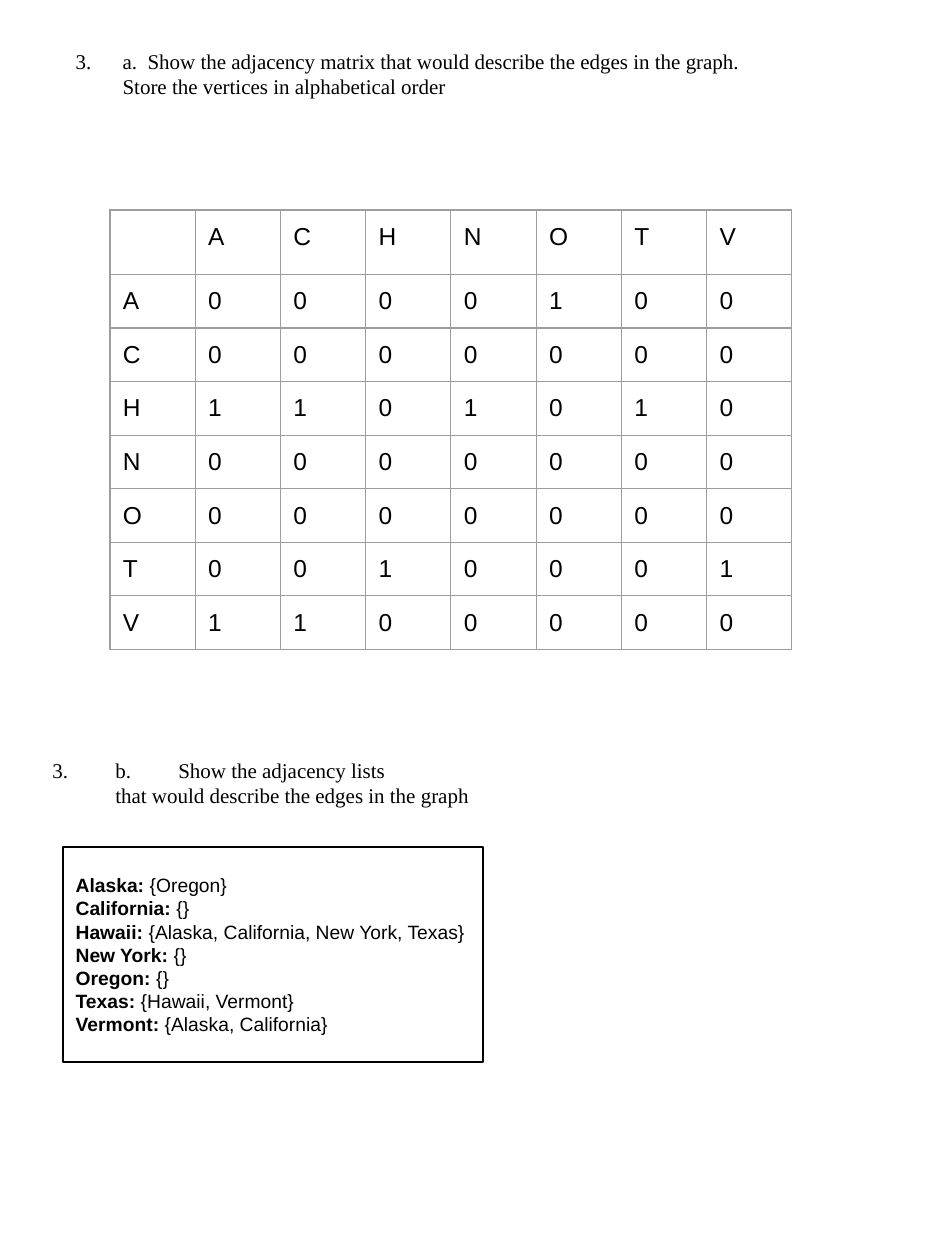
"""Build a worksheet slide with an adjacency matrix and adjacency lists."""
from dataclasses import dataclass

from lxml.etree import SubElement
from pptx import Presentation
from pptx.dml.color import RGBColor
from pptx.enum.text import MSO_ANCHOR, MSO_AUTO_SIZE, PP_ALIGN
from pptx.oxml.ns import qn
from pptx.util import Pt

PIXELS_PER_INCH = 126
INSET = 13
BLACK = "000000"
GRID_GRAY = "9E9E9E"
SERIF = "Times New Roman"
SANS = "Arial"


@dataclass(frozen=True)
class Box:
    left: int
    top: int
    width: int
    height: int


@dataclass(frozen=True)
class Vertex:
    name: str
    neighbors: tuple[str, ...] = ()


VERTICES = (
    Vertex("Alaska", ("Oregon",)),
    Vertex("California"),
    Vertex("Hawaii", ("Alaska", "California", "New York", "Texas")),
    Vertex("New York"),
    Vertex("Oregon"),
    Vertex("Texas", ("Hawaii", "Vermont")),
    Vertex("Vermont", ("Alaska", "California")),
)


def px(length: int) -> int:
    return round(length * 914400 / PIXELS_PER_INCH)


def color(hex_code: str) -> RGBColor:
    return RGBColor.from_string(hex_code)


def place(shape, box: Box) -> None:
    shape.left, shape.top = px(box.left), px(box.top)
    shape.width, shape.height = px(box.width), px(box.height)


def add_text(paragraph, text: str, *, font: str = SANS, size: int = 12, bold: bool = False) -> None:
    run = paragraph.add_run()
    run.text = text
    run.font.name = font
    run.font.size = Pt(size)
    run.font.bold = bold
    run.font.color.rgb = color(BLACK)


def set_indent(paragraph, margin: int, first_line: int = 0):
    properties = paragraph._p.get_or_add_pPr()
    properties.set("marL", str(px(margin)))
    properties.set("indent", str(px(first_line)))
    return properties


def add_matrix_question(shape) -> None:
    place(shape, Box(63, 42, 735, 63))
    frame = shape.text_frame
    frame.word_wrap = True
    frame.auto_size = MSO_AUTO_SIZE.SHAPE_TO_FIT_TEXT
    frame.vertical_anchor = MSO_ANCHOR.TOP
    paragraph = frame.paragraphs[0]
    properties = set_indent(paragraph, 47, -47)
    bullet_color = SubElement(properties, qn("a:buClr"))
    SubElement(bullet_color, qn("a:srgbClr"), val=BLACK)
    SubElement(properties, qn("a:buFont"), typeface=SERIF)
    SubElement(properties, qn("a:buAutoNum"), type="arabicPeriod", startAt="3")
    paragraph.alignment = PP_ALIGN.LEFT
    add_text(paragraph, "a.  Show the adjacency matrix that would describe the edges "
             "in the graph. Store the vertices in alphabetical order", font=SERIF)


def add_lists_question(slide) -> None:
    shape = slide.shapes.add_textbox(0, 0, 0, 0)
    place(shape, Box(40, 751, 444, 63))
    frame = shape.text_frame
    frame.word_wrap = True
    frame.auto_size = MSO_AUTO_SIZE.SHAPE_TO_FIT_TEXT
    first = frame.paragraphs[0]
    tabs = SubElement(set_indent(first, 0), qn("a:tabLst"))
    for position in (32, 63):
        SubElement(tabs, qn("a:tab"), pos=str(px(position)), algn="l")
    add_text(first, "3.\tb.\tShow the adjacency lists", font=SERIF)
    second = frame.add_paragraph()
    set_indent(second, 63)
    add_text(second, "that would describe the edges in the graph", font=SERIF)


def add_adjacency_lists(shape, vertices: tuple[Vertex, ...]) -> None:
    place(shape, Box(63, 847, 420, 215))
    shape.line.color.rgb = color(BLACK)
    shape.line.width = Pt(0.75)
    frame = shape.text_frame
    frame.word_wrap = True
    frame.auto_size = MSO_AUTO_SIZE.NONE
    frame.vertical_anchor = MSO_ANCHOR.MIDDLE
    for index, vertex in enumerate(vertices):
        paragraph = frame.add_paragraph() if index else frame.paragraphs[0]
        SubElement(set_indent(paragraph, 0), qn("a:buNone"))
        paragraph.space_before = Pt(0)
        add_text(paragraph, f"{vertex.name}:", size=11, bold=True)
        add_text(paragraph, f" {{{', '.join(vertex.neighbors)}}}", size=11)


def format_cell(cell) -> None:
    cell.margin_left = cell.margin_right = px(INSET)
    cell.margin_top = cell.margin_bottom = px(INSET)
    properties = cell._tc.get_or_add_tcPr()
    for side in ("lnL", "lnR", "lnT", "lnB"):
        border = SubElement(properties, qn(f"a:{side}"), w=str(Pt(0.75)))
        fill = SubElement(border, qn("a:solidFill"))
        SubElement(fill, qn("a:srgbClr"), val=GRID_GRAY)
    cell.fill.background()


def add_matrix(slide, vertices: tuple[Vertex, ...]) -> None:
    rows = [["", *(vertex.name[0] for vertex in vertices)]]
    for vertex in vertices:
        edges = [str(int(other.name in vertex.neighbors)) for other in vertices]
        rows.append([vertex.name[0], *edges])
    count = len(rows)
    table = slide.shapes.add_table(
        count, count, px(110), px(210), px(682), px(53 * count)).table
    table.first_row = False
    table.horz_banding = False
    for row_index, values in enumerate(rows):
        for column_index, value in enumerate(values):
            cell = table.cell(row_index, column_index)
            format_cell(cell)
            if value:
                add_text(cell.text_frame.paragraphs[0], value, size=14)


def main() -> None:
    presentation = Presentation()
    presentation.slide_width = px(945)
    presentation.slide_height = px(1260)
    slide = presentation.slides.add_slide(presentation.slide_layouts[1])
    add_matrix_question(slide.shapes.title)
    add_matrix(slide, VERTICES)
    add_lists_question(slide)
    add_adjacency_lists(slide.placeholders[1], VERTICES)
    presentation.save("out.pptx")


if __name__ == "__main__":
    main()
